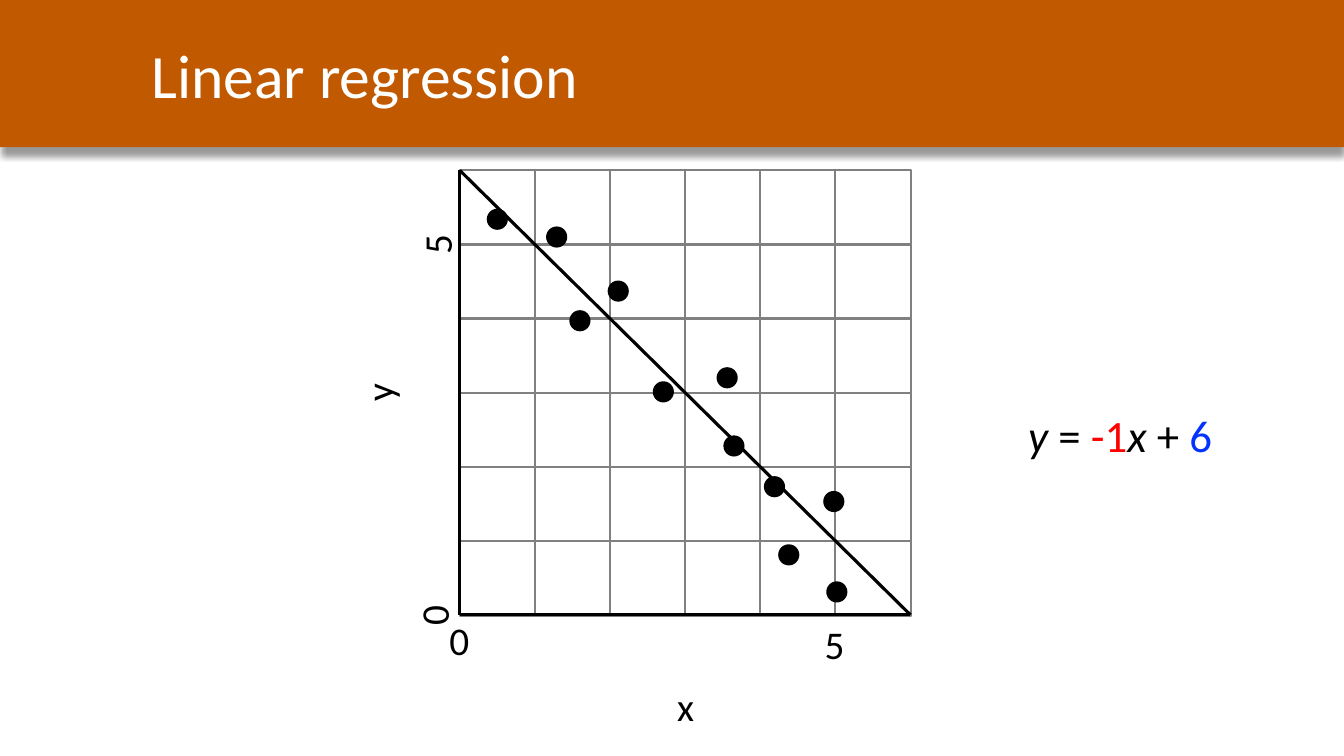
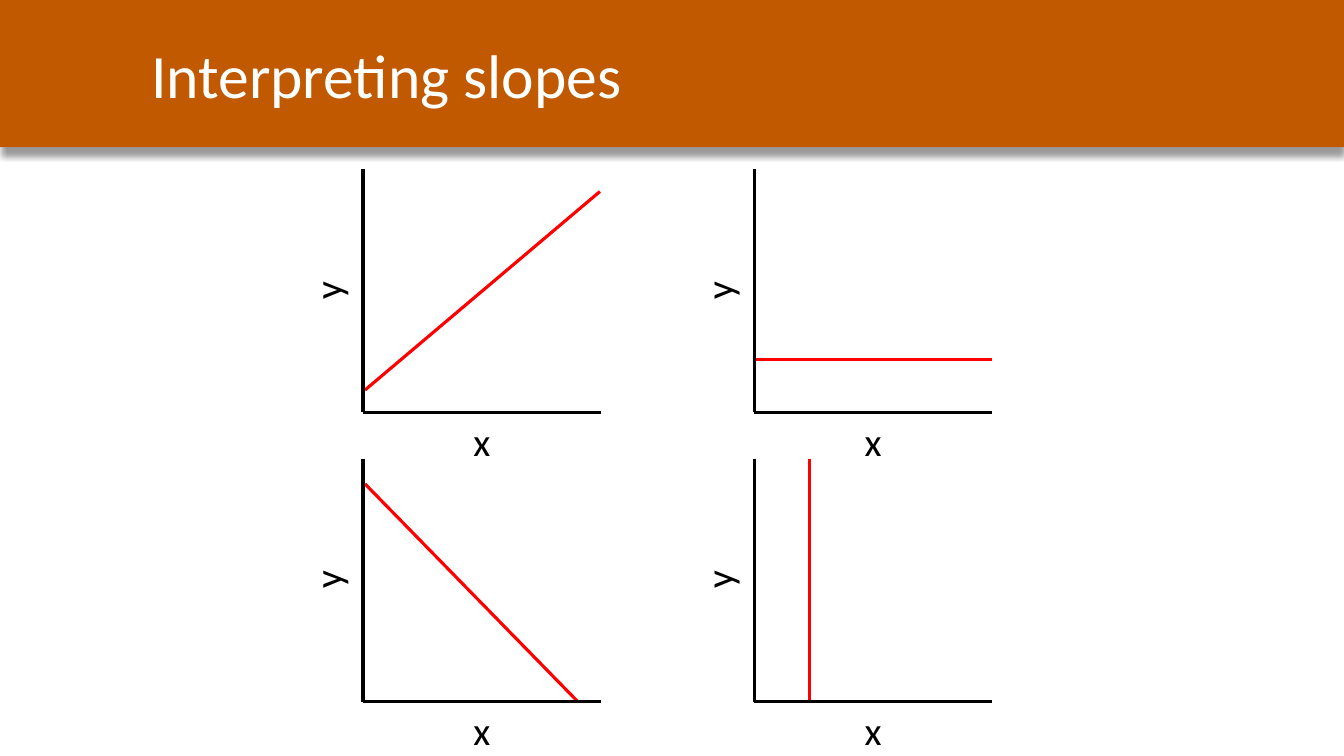
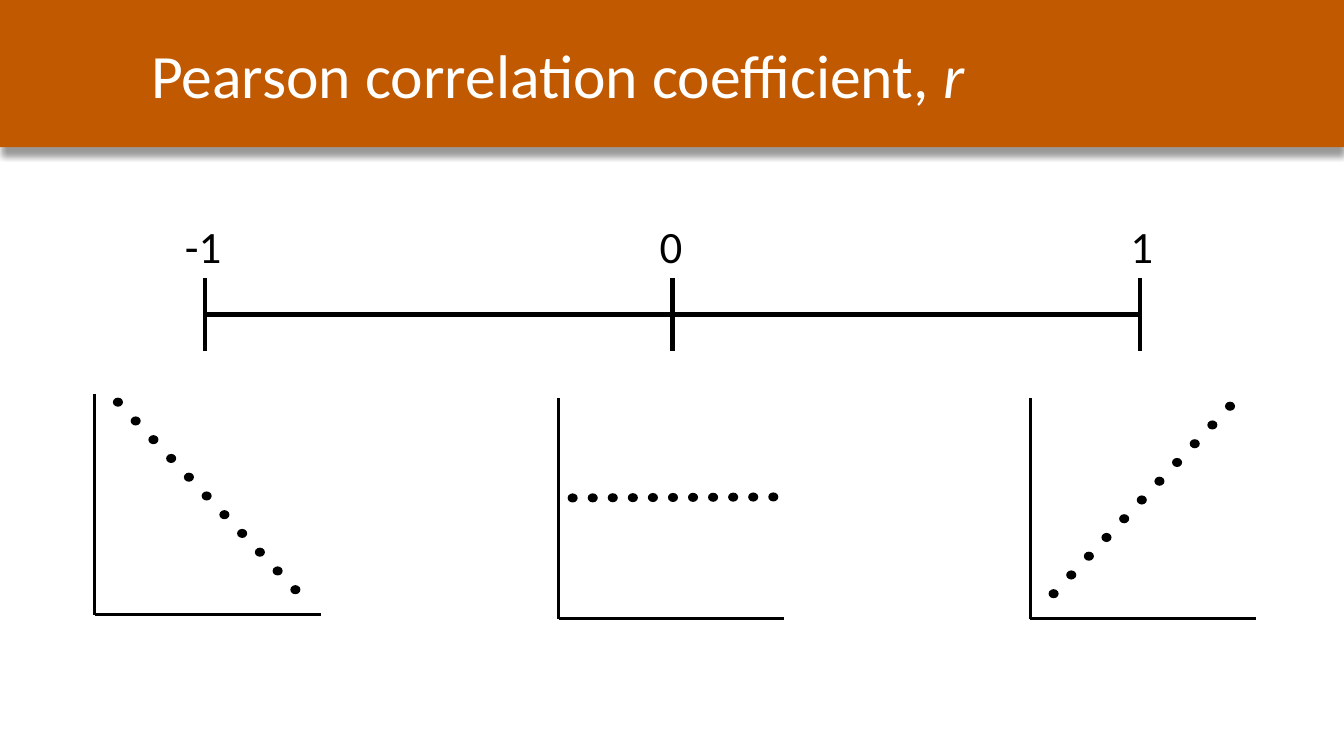
from lxml import etree
from pptx import Presentation
from pptx.dml.color import RGBColor
from pptx.enum.shapes import MSO_CONNECTOR, MSO_SHAPE
from pptx.enum.text import MSO_ANCHOR, MSO_AUTO_SIZE, PP_ALIGN
from pptx.oxml import parse_xml
from pptx.oxml.ns import qn
from pptx.util import Inches, Pt

STRAIGHT = MSO_CONNECTOR.STRAIGHT
RECT, OVAL = MSO_SHAPE.RECTANGLE, MSO_SHAPE.OVAL
MIDDLE = MSO_ANCHOR.MIDDLE
LEFT, CENTER = PP_ALIGN.LEFT, PP_ALIGN.CENTER
GROW = MSO_AUTO_SIZE.SHAPE_TO_FIT_TEXT

FONT = "Calibri"
COLORS = {
    "band": "C15900",
    "white": "FFFFFF",
    "ink": "000000",
    "grid": "808080",
    "red": "FF0000",
    "blue": "0432FF",
}
SLIDE_W, SLIDE_H, BAND_H = 13.33, 7.5, 1.46
TITLE_BOX = (1.4, 0.12, 11.93, 1.22)
BAND_SHADOW = (
    '<a:outerShdw xmlns:a="http://schemas.openxmlformats.org/drawingml/2006/main"'
    ' blurRad="50800" dist="76200" dir="5400000" algn="t" rotWithShape="0">'
    '<a:srgbClr val="000000"><a:alpha val="40000"/></a:srgbClr></a:outerShdw>'
)

TITLES = [
    [("Linear regression", {})],
    [("Interpreting slopes", {})],
    [("Pearson correlation coefficient, ", {}), ("r", {"italic": True})],
]

CELLS = 6
PLOT = (4.56, 1.69, 4.47, 4.41)
CELL_SIZE = 0.75
OBSERVATIONS = [
    (0.5, 5.34), (2.71, 3.01), (1.29, 5.1), (2.11, 4.37), (1.6, 3.97), (4.19, 1.73),
    (3.56, 3.2), (3.65, 2.28), (4.38, 0.81), (4.98, 1.53), (5.02, 0.31),
]
AXIS_LABELS = [
    ("x", (4.56, 6.72, 4.48, 0.57), 0),
    ("y", (1.54, 3.61, 4.42, 0.57), 270),
]
TICK_LABELS = [
    ("0", (4.1, 5.82, 0.4, 0.57), 270),
    ("5", (4.13, 2.14, 0.4, 0.57), 270),
    ("0", (4.36, 6.07, 0.4, 0.57), 0),
    ("5", (8.08, 6.1, 0.4, 0.57), 0),
]
EQUATION_BOX = (9.78, 4, 2.66, 0.64)
EQUATION = [
    ("y ", {"italic": True}), ("= ", {}), ("-1", {"color": "red"}),
    ("x ", {"italic": True}), ("+ ", {}), ("6", {"color": "blue"}),
]

SLOPE_LEFTS, SLOPE_TOPS = (3.6, 7.48), (1.68, 4.55)
SLOPE_W, SLOPE_H = 2.36, 2.41
SLOPES = [
    (0, 0, (0.02, 2.19), (2.35, 0.22)),
    (0, 1, (0.02, 0.25), (2.13, 2.41)),
    (1, 0, (0.02, 1.89), (2.36, 1.89)),
    (1, 1, (0.55, 2.41), (0.55, 0)),
]

SCALE_Y, SCALE_TICK = 3.12, 0.36
SCALE = [("-1", 2.03, 1.73, 0.57), ("0", 6.67, 6.44, 0.43), ("1", 11.31, 11.11, 0.43)]
PATTERN_SIZE = (2.24, 2.19)
PATTERN_DOTS = 11
PATTERNS = [
    ((0.94, 3.91), (1.17, 3.99), (2.93, 5.85)),
    ((5.54, 3.95), (5.68, 4.94), (7.67, 4.93)),
    ((10.22, 3.95), (10.45, 5.89), (12.2, 4.03)),
]


def rgb(name):
    return RGBColor.from_string(COLORS[name])


def inches(values):
    return [Inches(value) for value in values]


def write_text(frame, runs, size=28, color="ink", align=LEFT):
    paragraph = frame.paragraphs[0]
    paragraph.alignment = align
    for words, style in runs:
        run = paragraph.add_run()
        run.text = words
        run.font.name = FONT
        run.font.size = Pt(size)
        run.font.italic = style.get("italic", False)
        run.font.color.rgb = rgb(style.get("color", color))


def add_label(slide, box, runs, rotation=0, wrap=True, **style):
    label = slide.shapes.add_textbox(*inches(box))
    label.rotation = rotation
    label.text_frame.word_wrap = wrap
    label.text_frame.auto_size = GROW
    write_text(label.text_frame, runs, **style)


def add_block(slide, preset, box, fill, outline=None):
    block = slide.shapes.add_shape(preset, *inches(box))
    block.shadow.inherit = False
    block.fill.solid()
    block.fill.fore_color.rgb = rgb(fill)
    if outline:
        block.line.color.rgb = rgb(outline)
        block.line.width = Pt(1.5)
    else:
        block.line.fill.background()
    return block


def add_dot(slide, x, y, width, height):
    add_block(slide, OVAL, (x - width / 2, y - height / 2, width, height), "ink")


def add_line(slide, start, end, color="ink", width=2.25):
    line = slide.shapes.add_connector(STRAIGHT, *inches((*start, *end)))
    line.line.color.rgb = rgb(color)
    line.line.width = Pt(width)
    etree.SubElement(line.element.spPr, qn("a:effectLst"))


def add_axes(slide, left, top, width, height):
    bottom = top + height
    add_line(slide, (left, top), (left, bottom))
    add_line(slide, (left, bottom), (left + width, bottom))


def style_layout(layout, slide):
    band = add_block(slide, RECT, (0, 0, SLIDE_W, BAND_H), "band")
    band.element.spPr.find(qn("a:effectLst")).append(parse_xml(BAND_SHADOW))
    layout.shapes.element.insert(2, band.element)
    title = layout.placeholders[0]
    title.left, title.top, title.width, title.height = inches(TITLE_BOX)
    title.text_frame.vertical_anchor = MIDDLE


def build_regression(slide):
    left, top, width, height = PLOT
    step_x, step_y = width / CELLS, height / CELLS
    for row in range(CELLS):
        for column in range(CELLS):
            cell = (left + column * step_x, top + row * step_y, CELL_SIZE, CELL_SIZE)
            add_block(slide, RECT, cell, "white", "grid")
    add_axes(slide, *PLOT)
    add_line(slide, (left, top), (left + width, top + height))
    for x, y in OBSERVATIONS:
        add_dot(slide, left + x * step_x, top + height - y * step_y, 0.21, 0.21)
    for name, box, rotation in AXIS_LABELS:
        add_label(slide, box, [(name, {})], rotation, align=CENTER)
    for value, box, rotation in TICK_LABELS:
        add_label(slide, box, [(value, {})], rotation, wrap=False)
    add_label(slide, EQUATION_BOX, EQUATION, size=32, align=CENTER)


def build_slopes(slide):
    for column, row, start, end in SLOPES:
        left, top = SLOPE_LEFTS[column], SLOPE_TOPS[row]
        add_line(slide, (left + start[0], top + start[1]), (left + end[0], top + end[1]), "red")
        add_axes(slide, left, top, SLOPE_W, SLOPE_H)
        x_box = (left, top + SLOPE_H, SLOPE_W, 0.31)
        y_box = (left - 1.7, top + 1.05, SLOPE_H, 0.3)
        add_label(slide, x_box, [("x", {})], align=CENTER)
        add_label(slide, y_box, [("y", {})], 270, align=CENTER)


def build_correlation(slide):
    add_line(slide, (SCALE[0][1], SCALE_Y), (SCALE[-1][1], SCALE_Y), width=3)
    for value, x, label_left, label_width in SCALE:
        add_line(slide, (x, SCALE_Y - SCALE_TICK), (x, SCALE_Y + SCALE_TICK), width=3)
        box = (label_left, 2.12, label_width, 0.64)
        add_label(slide, box, [(value, {})], wrap=False, size=32, align=CENTER)
    for corner, first, last in PATTERNS:
        add_axes(slide, *corner, *PATTERN_SIZE)
        for index in range(PATTERN_DOTS):
            share = index / (PATTERN_DOTS - 1)
            x, y = (a + (b - a) * share for a, b in zip(first, last))
            add_dot(slide, x, y, 0.1, 0.09)


def main():
    deck = Presentation()
    deck.slide_width, deck.slide_height = inches((SLIDE_W, SLIDE_H))
    layout = deck.slide_layouts[5]
    slides = [deck.slides.add_slide(layout) for _ in TITLES]
    style_layout(layout, slides[0])
    builders = (build_regression, build_slopes, build_correlation)
    for slide, title, build in zip(slides, TITLES, builders):
        write_text(slide.shapes.title.text_frame, title, size=44, color="white")
        build(slide)
    deck.save("out.pptx")


if __name__ == "__main__":
    main()
